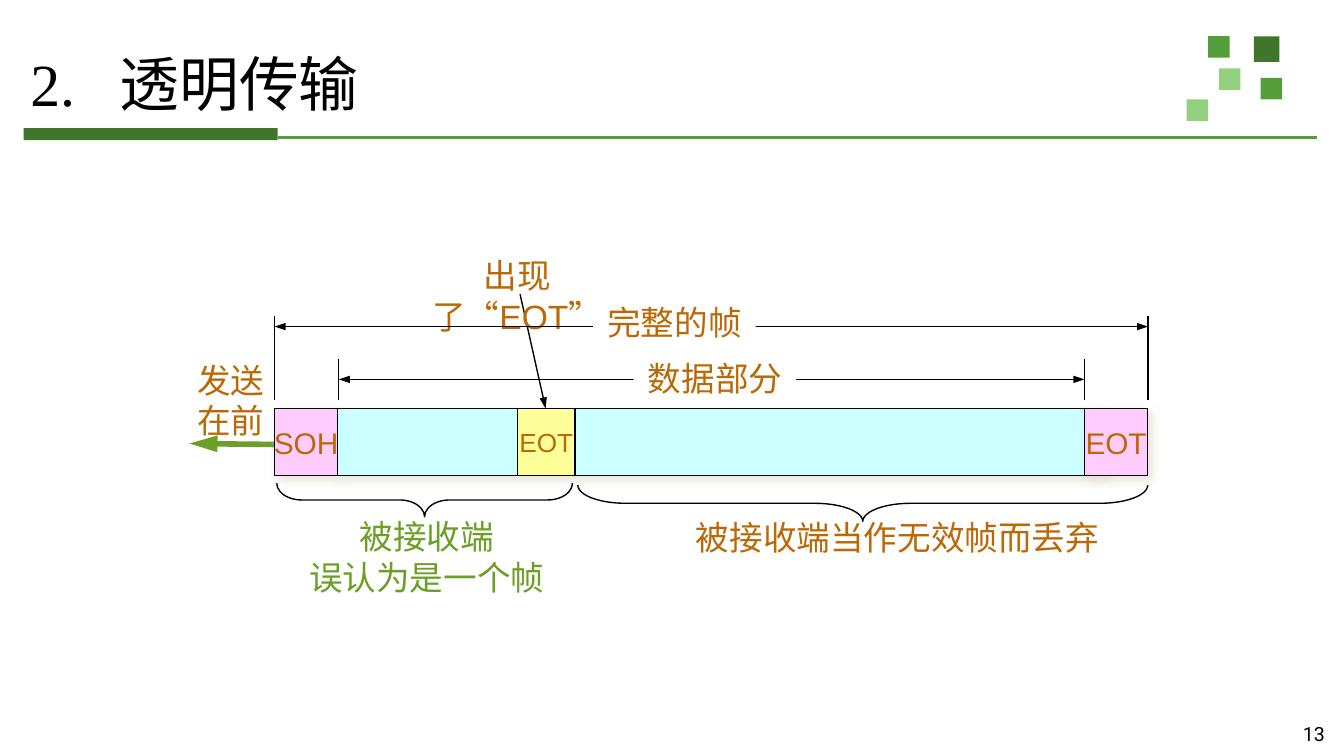
import dataclasses
import typing

import lxml.etree
import pptx
import pptx.dml.color
import pptx.enum.shapes
import pptx.enum.text
import pptx.oxml
import pptx.oxml.ns
import pptx.util

ALIGN = pptx.enum.text.PP_ALIGN
ANCHOR = pptx.enum.text.MSO_ANCHOR
SHAPE = pptx.enum.shapes.MSO_SHAPE

CELL = 0.1
PAGE_COLUMNS, PAGE_ROWS = 100, 56.25
FRAME_TOP, FRAME_ROWS = 30.4, 5
FRAME_LEFT, DATA_LEFT, DATA_RIGHT, FRAME_RIGHT = 20.43, 25.1, 80.7, 85.43
FIELD_WIDTH = 4.7
INNER_LEFT = 25.2

BLACK, WHITE = "000000", "FFFFFF"
ORANGE, LEAF = "BA6906", "6B9F25"
DARK, GREEN, LIGHT = "3F762B", "549E39", "93D07D"
PINK, CYAN, YELLOW = "FFCCFF", "CCFFFF", "FFFF99"


@dataclasses.dataclass
class Box:
    left: float
    top: float
    width: float
    height: float
    lines: tuple[str, ...] = ()
    fill: str | None = None
    outline: str | None = None
    shadow: bool = False
    color: str = ORANGE
    size: float = 18
    font: str = "Arial"
    align: typing.Any = ALIGN.CENTER
    anchor: typing.Any = ANCHOR.TOP
    wrap: bool = False


@dataclasses.dataclass
class Line:
    start: tuple[float, float]
    end: tuple[float, float]
    color: str = BLACK
    weight: float = 0.75
    heads: tuple[str, ...] = ()
    head_size: tuple[str, str] = ("sm", "med")


@dataclasses.dataclass
class Brace:
    left: float
    right: float
    top: float
    depth: float
    curve: float


def grid(cells: float) -> int:
    return pptx.util.Inches(cells * CELL)


def rgb(value: str) -> pptx.dml.color.RGBColor:
    return pptx.dml.color.RGBColor.from_string(value)


def apply(target: typing.Any, values: dict[str, typing.Any]) -> None:
    for name, value in values.items():
        setattr(target, name, value)


def style_font(font: typing.Any, name: str, size: float, color: str) -> None:
    apply(font, {"name": name, "size": pptx.util.Pt(size)})
    font.color.rgb = rgb(color)


def add_shadow(shape: typing.Any) -> None:
    effects = shape._element.spPr.find(pptx.oxml.ns.qn("a:effectLst"))
    effects.append(pptx.oxml.parse_xml(
        f'<a:outerShdw {pptx.oxml.ns.nsdecls("a")} blurRad="63500" dist="38100" '
        'dir="2700000" algn="ctr" rotWithShape="0"><a:srgbClr val="E3DED1">'
        '<a:alpha val="75000"/></a:srgbClr></a:outerShdw>'))


def draw_box(page: typing.Any, item: Box) -> None:
    place = [grid(n) for n in (item.left, item.top, item.width, item.height)]
    if item.fill:
        box = page.shapes.add_shape(SHAPE.RECTANGLE, *place)
        box.shadow.inherit = False
        box.fill.solid()
        box.fill.fore_color.rgb = rgb(item.fill)
        if item.outline:
            box.line.color.rgb = rgb(item.outline)
            box.line.width = pptx.util.Pt(0.75)
        else:
            box.line.fill.background()
        if item.shadow:
            add_shadow(box)
    else:
        box = page.shapes.add_textbox(*place)
    if not item.lines:
        return
    frame = box.text_frame
    apply(frame, {"word_wrap": item.wrap, "vertical_anchor": item.anchor})
    for index, text in enumerate(item.lines):
        para = frame.add_paragraph() if index else frame.paragraphs[0]
        para.alignment = item.align
        span = para.add_run()
        span.text = text
        style_font(span.font, item.font, item.size, item.color)


def draw_line(page: typing.Any, item: Line) -> None:
    ends = [grid(n) for n in (*item.start, *item.end)]
    line = page.shapes.add_connector(pptx.enum.shapes.MSO_CONNECTOR.STRAIGHT, *ends)
    line.line.color.rgb = rgb(item.color)
    line.line.width = pptx.util.Pt(item.weight)
    stroke = line.line._get_or_add_ln()
    width, length = item.head_size
    for head in item.heads:
        lxml.etree.SubElement(stroke, pptx.oxml.ns.qn(f"a:{head}"),
                              type="triangle", w=width, len=length)
    lxml.etree.SubElement(line._element.spPr, pptx.oxml.ns.qn("a:effectLst"))


def draw_brace(page: typing.Any, item: Brace) -> None:
    span = item.right - item.left
    left = (item.left + item.right - item.depth) / 2
    top = item.top + (item.depth - span) / 2
    brace = page.shapes.add_shape(
        SHAPE.LEFT_BRACE, *[grid(n) for n in (left, top, item.depth, span)])
    brace.shadow.inherit = False
    brace.rotation = 270
    brace.adjustments[0] = item.curve
    brace.fill.background()
    brace.line.color.rgb = rgb(BLACK)
    brace.line.width = pptx.util.Pt(0.75)


def draw_title(page: typing.Any, text: str) -> None:
    title = page.shapes.title
    apply(title, {"left": grid(1.5), "top": grid(3.35),
                  "width": grid(74.3), "height": grid(6.3)})
    frame = title.text_frame
    apply(frame, {"margin_left": grid(0.75), "margin_right": grid(0.75),
                  "margin_top": grid(0.4), "margin_bottom": grid(0.4),
                  "vertical_anchor": ANCHOR.MIDDLE, "word_wrap": True})
    para = frame.paragraphs[0]
    apply(para, {"alignment": ALIGN.LEFT, "line_spacing": 0.9})
    hang = grid(6.65)
    para._p.get_or_add_pPr().set("marL", str(hang))
    para._p.get_or_add_pPr().set("indent", str(-hang))
    span = para.add_run()
    span.text = text
    style_font(span.font, "Times New Roman", 32, BLACK)


def field(left: float, width: float, fill: str, text: str = "",
          size: float = 16, shadow: bool = True) -> Box:
    return Box(left, FRAME_TOP, width, FRAME_ROWS, (text,) if text else (), fill,
               BLACK, shadow, size=size, anchor=ANCHOR.MIDDLE)


def extent(left: float, right: float, row: float) -> Line:
    return Line((left, row), (right, row), heads=("headEnd", "tailEnd"))


SQUARES = [(93.3, 2.7, 1.9, DARK), (89.9, 2.7, 1.6, GREEN), (93.8, 5.8, 1.6, GREEN),
           (90.7, 5.1, 1.6, LIGHT), (88.3, 7.4, 1.6, LIGHT)]
LIMITS = [(FRAME_LEFT, 23.5), (FRAME_RIGHT, 23.5), (INNER_LEFT, 26.7), (DATA_RIGHT, 26.7)]

PARTS = [
    *[Box(left, top, side, side, fill=color) for left, top, side, color in SQUARES],
    Box(1.75, 9.53, 18.9, 0.9, fill="3F762A"),
    Line((20.7, 10.23), (98, 10.23), GREEN, 2),
    Line((22.8, 33.1), (14.1, 33), LEAF, 3, ("tailEnd",), ("med", "lg")),
    field(FRAME_LEFT, FIELD_WIDTH, PINK, "SOH"),
    field(DATA_LEFT, 57, CYAN),
    field(38.5, 4.3, YELLOW, "EOT", 14, False),
    Line((38.7, 21.9), (40.6, FRAME_TOP), heads=("tailEnd",)),
    Box(29.43, 18.5, 18.1, 4, ("出现了“EOT”",), wrap=True),
    Brace(43, 85.4, 36.1, 2.7, 1.32),
    Box(50.8, 38, 32.3, 4, ("被接收端当作无效帧而丢弃",), align=ALIGN.JUSTIFY),
    Brace(20.6, 42.6, 35.95, 2.5, 0.74),
    Box(21.9, 37.93, 19.7, 7.1, ("被接收端", "误认为是一个帧"), color=LEAF),
    extent(INNER_LEFT, DATA_RIGHT, 28.23),
    Box(47.15, 26.13, 12.1, 4, ("数据部分",), WHITE),
    field(DATA_RIGHT, FIELD_WIDTH, PINK, "EOT"),
    extent(FRAME_LEFT, FRAME_RIGHT, 24.3),
    Box(44.13, 22, 12.1, 4, ("完整的帧",), WHITE),
    *[Line((column, top), (column, 29.8)) for column, top in LIMITS],
    Box(13.7, 26.3, 7.1, 7.1, ("发送", "在前"), align=ALIGN.LEFT),
    Box(93.75, 53.23, 5.8, 3, ("13",), color=BLACK, size=10.5, font="Roboto",
        align=ALIGN.RIGHT, wrap=True),
]
DRAW = {Box: draw_box, Line: draw_line, Brace: draw_brace}


def main() -> None:
    deck = pptx.Presentation()
    apply(deck, {"slide_width": grid(PAGE_COLUMNS), "slide_height": grid(PAGE_ROWS)})
    page = deck.slides.add_slide(deck.slide_layouts[5])
    draw_title(page, "2.\t透明传输")
    for part in PARTS:
        DRAW[type(part)](page, part)
    deck.save("out.pptx")


if __name__ == "__main__":
    main()
